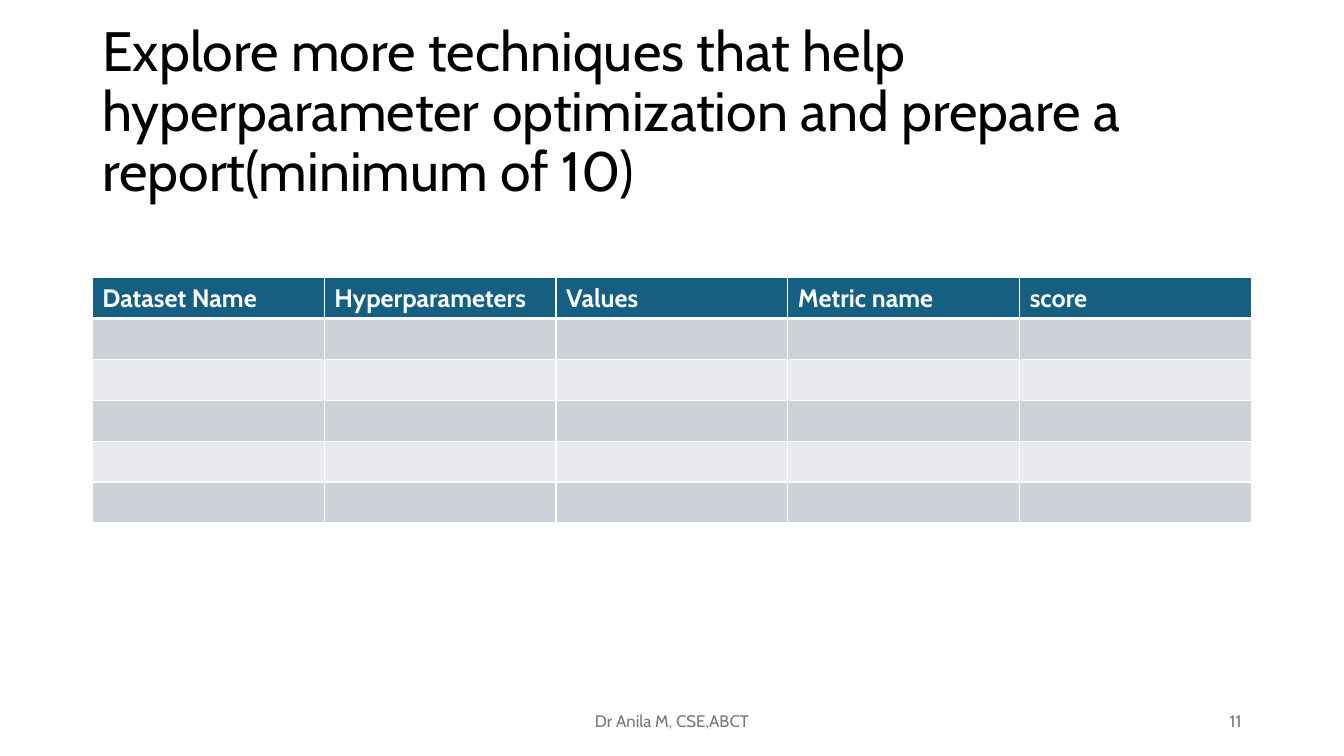
from lxml import etree
from pptx import Presentation
from pptx import util as u
from pptx.dml.color import RGBColor
from pptx.enum import text
from pptx.oxml import ns

COLORS = {
    "title": "000000",
    "header": "156082",
    "header_text": "FFFFFF",
    "border": "FFFFFF",
    "bands": ("CCD2D8", "E8EAED"),
    "footer": "797979",
}
HEADINGS = ("Dataset Name", "Hyperparameters", "Values", "Metric name", "score")
EMPTY_ROWS = 5
LEFT, WIDTH = 66, 828
FOOTER_TOP, FOOTER_HEIGHT = 500.5, 28.75


def write(frame, words, size, color, font, bold=False, align=None, spacing=None):
    para = frame.paragraphs[0]
    para.alignment = align
    para.line_spacing = spacing
    span = para.add_run()
    span.text = words
    span.font.name = font
    span.font.size = u.Pt(size)
    span.font.bold = bold
    span.font.color.rgb = RGBColor.from_string(color)


def set_borders(cell, color, top=1, bottom=1):
    properties = cell._tc.get_or_add_tcPr()
    sides = (("lnL", 1), ("lnR", 1), ("lnT", top), ("lnB", bottom))
    for position, (side, points) in enumerate(sides):
        line = etree.Element(ns.qn(f"a:{side}"), w=str(u.Pt(points)))
        fill = etree.SubElement(line, ns.qn("a:solidFill"))
        etree.SubElement(fill, ns.qn("a:srgbClr"), val=color)
        properties.insert(position, line)


class SlideBuilder:
    def __init__(self, page, font):
        self.page = page
        self.font = font

    def text_box(self, words, left, top, width, height, **style):
        box = self.page.shapes.add_textbox(*map(u.Pt, (left, top, width, height)))
        frame = box.text_frame
        frame.word_wrap = True
        frame.vertical_anchor = text.MSO_ANCHOR.MIDDLE
        write(frame, words, font=self.font, **style)

    def banded_table(self, headings, empty_rows, left, top, width, height):
        """Add a table with a heading row above empty rows in alternating colours."""
        table = self.page.shapes.add_table(
            empty_rows + 1, len(headings), *map(u.Pt, (left, top, width, height))
        ).table
        for column, heading in enumerate(headings):
            write(table.cell(0, column).text_frame, heading, 18,
                  COLORS["header_text"], self.font, bold=True)
        for number, row in enumerate(table.rows):
            color = COLORS["bands"][(number - 1) % 2] if number else COLORS["header"]
            for cell in row.cells:
                cell.fill.solid()
                cell.fill.fore_color.rgb = RGBColor.from_string(color)
                set_borders(cell, COLORS["border"],
                            top=3 if number == 1 else 1,
                            bottom=3 if number == 0 else 1)


def main():
    deck = Presentation()
    deck.slide_width, deck.slide_height = u.Pt(960), u.Pt(540)
    page = deck.slides.add_slide(deck.slide_layouts[6])
    builder = SlideBuilder(page, "Cabin")

    builder.text_box(
        "Explore more techniques that help hyperparameter optimization "
        "and prepare a report(minimum of 10)",
        LEFT, 28.75, WIDTH, 104.4, size=39.6, color=COLORS["title"], spacing=0.9)
    builder.banded_table(HEADINGS, EMPTY_ROWS, LEFT, 198.3, WIDTH, 175.2)

    footer = {"size": 12, "color": COLORS["footer"]}
    builder.text_box("Dr Anila M, CSE,ABCT", 318, FOOTER_TOP, 324, FOOTER_HEIGHT,
                     align=text.PP_ALIGN.CENTER, **footer)
    builder.text_box("11", 678, FOOTER_TOP, 216, FOOTER_HEIGHT,
                     align=text.PP_ALIGN.RIGHT, **footer)
    deck.save("out.pptx")


if __name__ == "__main__":
    main()
